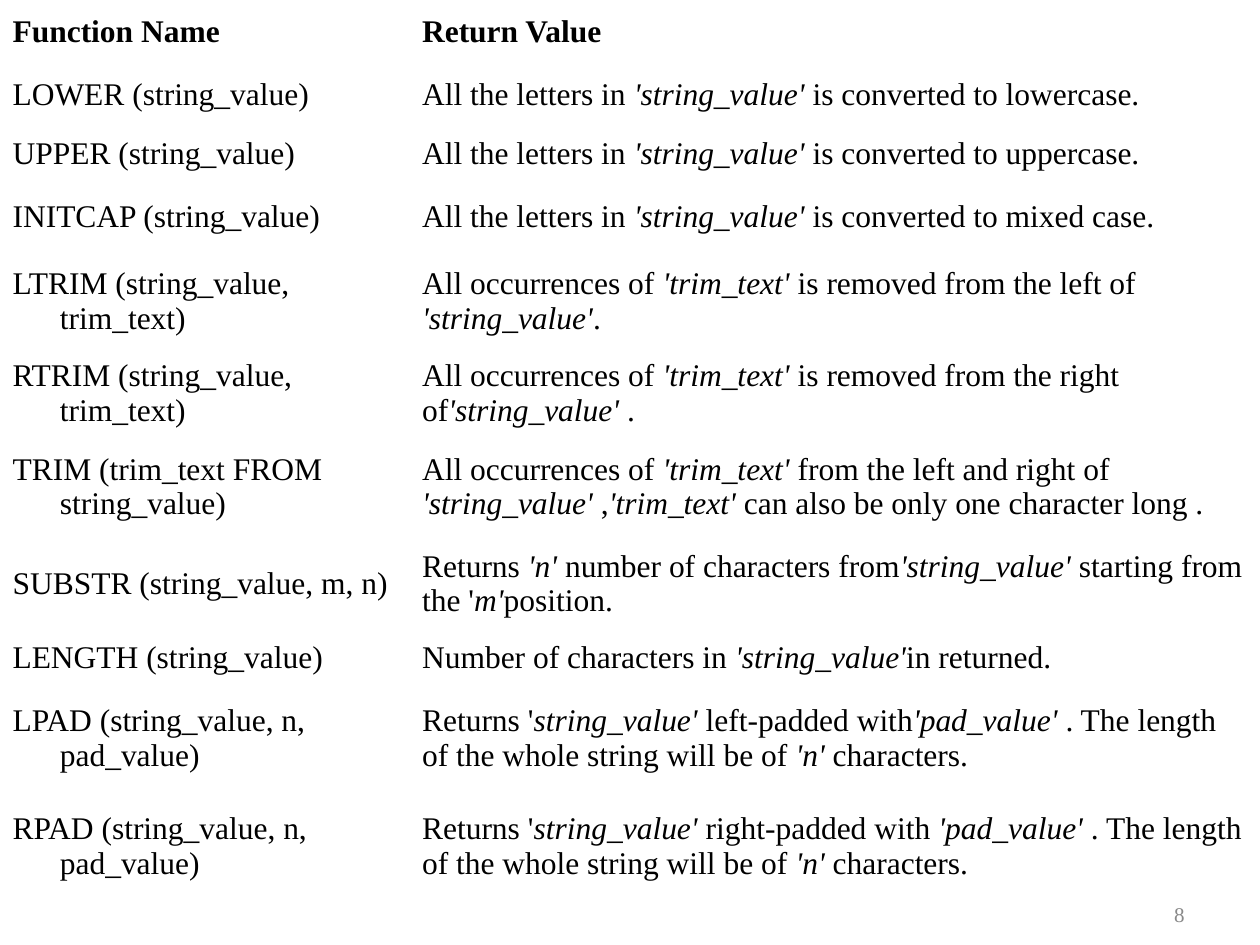
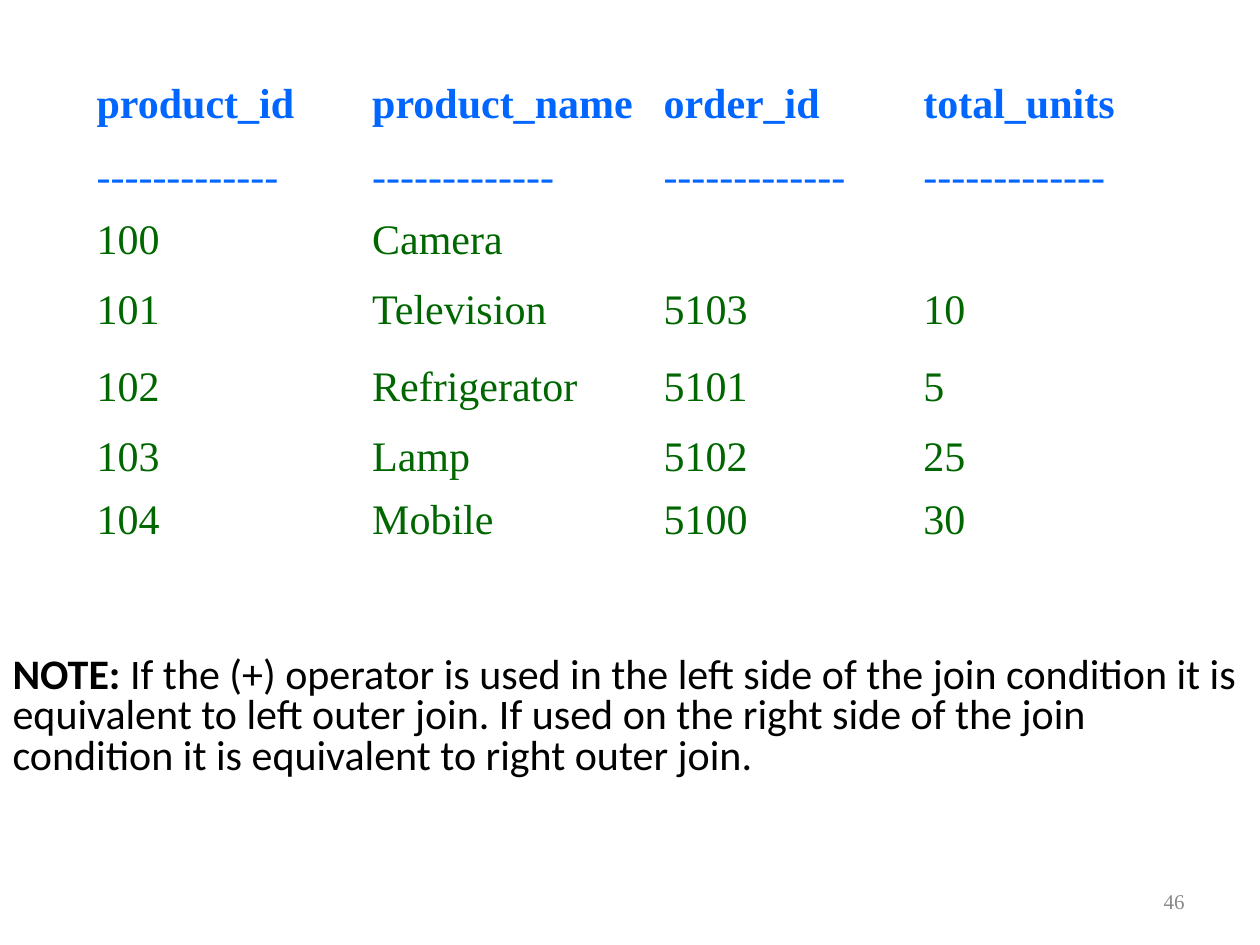
from pptx import Presentation
from pptx.dml.color import RGBColor
from pptx.enum.text import MSO_ANCHOR, MSO_AUTO_SIZE, PP_ALIGN
from pptx.util import Pt

MIDDLE = MSO_ANCHOR.MIDDLE
FIXED = MSO_AUTO_SIZE.NONE
RIGHT = PP_ALIGN.RIGHT
SERIF, SANS = "Times New Roman", "Calibri"
BLACK, BLUE, GREEN, GREY = "000000", "0066FF", "006600", "898989"
HANG = Pt(27)


def write(para, text, size, color, bold=False, face=SERIF):
    for n, part in enumerate(text.split("*")):
        if part:
            run = para.add_run()
            run.text = part
            font = run.font
            font.name, font.size = face, Pt(size)
            font.bold, font.italic = bold, n % 2 == 1
            font.color.rgb = RGBColor.from_string(color)


def grid(slide, left, top, widths, heights, rows, size, colors):
    frame = slide.shapes.add_table(
        len(rows), len(widths), Pt(left), Pt(top), Pt(sum(widths)), Pt(sum(heights)))
    table = frame.table
    table.first_row = table.horz_banding = False
    for col, width in zip(table.columns, widths):
        col.width = Pt(width)
    for r, (height, row) in enumerate(zip(heights, rows)):
        table.rows[r].height = Pt(height)
        for c, text in enumerate(row):
            cell = table.cell(r, c)
            cell.fill.background()
            cell.vertical_anchor = MIDDLE
            para = cell.text_frame.paragraphs[0]
            if c == 0:
                props = para._p.get_or_add_pPr()
                props.set("marL", str(HANG))
                props.set("indent", str(-HANG))
            write(para, text, size, colors[min(r, len(colors) - 1)], r == 0)


strings = [
    ("Function Name", "Return Value"),
    ("LOWER (string_value)", "All the letters in *'string_value'* is converted to lowercase."),
    ("UPPER (string_value)", "All the letters in *'string_value'* is converted to uppercase."),
    ("INITCAP (string_value)", "All the letters in *'string_value'* is converted to mixed case."),
    ("LTRIM (string_value, trim_text)",
     "All occurrences of *'trim_text'* is removed from the left of *'string_value'*."),
    ("RTRIM (string_value, trim_text)",
     "All occurrences of *'trim_text'* is removed from the right of*'string_value'* ."),
    ("TRIM (trim_text FROM string_value)",
     "All occurrences of *'trim_text'* from the left and right of *'string_value'* ,"
     "*'trim_text'* can also be only one character long ."),
    ("SUBSTR (string_value, m, n)",
     "Returns *'n'* number of characters from*'string_value'* starting from the '*m'*position."),
    ("LENGTH (string_value)", "Number of characters in *'string_value'*in returned."),
    ("LPAD (string_value, n, pad_value)",
     "Returns '*string_value'* left-padded with*'pad_value'* . "
     "The length of the whole string will be of *'n' *characters."),
    ("RPAD (string_value, n, pad_value)",
     "Returns '*string_value'* right-padded with *'pad_value'* . "
     "The length of the whole string will be of *'n' *characters."),
]
orders = [
    ("product_id", "product_name", "order_id", "total_units"),
    ("-" * 13,) * 4,
    ("100", "Camera", "", ""),
    ("101", "Television", "5103", "10"),
    ("102", "Refrigerator", "5101", "5"),
    ("103", "Lamp", "5102", "25"),
    ("104", "Mobile", "5100", "30"),
]

deck = Presentation()
deck.slide_width, deck.slide_height = Pt(720), Pt(540)

first = deck.slides.add_slide(deck.slide_layouts[6])
grid(first, 0, 0, [234, 486],
     [36, 36.7, 30.3, 41.7, 54.7, 50.4, 56.9, 54, 30.2, 62, 61.2],
     strings, 18, [BLACK])

second = deck.slides.add_slide(deck.slide_layouts[1])
title = second.shapes.title
title.element.getparent().remove(title.element)
note = second.placeholders[1]
note.left, note.top, note.width, note.height = Pt(0), Pt(372), Pt(720), Pt(108)
note.text_frame.auto_size = FIXED
para = note.text_frame.paragraphs[0]
para.line_spacing, para.space_before = 0.8, Pt(6)
props = para._p.get_or_add_pPr()
props.set("marL", "0")
props.set("indent", "0")
props.append(props.makeelement(
    "{http://schemas.openxmlformats.org/drawingml/2006/main}buNone", {}))
write(para, "NOTE: ", 24, BLACK, True, SANS)
write(para, "If the (+) operator is used in the left side of the join condition it is "
      "equivalent to left outer join. If used on the right side of the join condition "
      "it is equivalent to right outer join.", 24, BLACK, False, SANS)
grid(second, 48, 36, [157.5, 166.5, 148.5, 157.5],
     [47.5, 36, 36, 44, 44, 36, 36], orders, 24, [BLUE, BLUE, GREEN])

for slide, top, height, page in [(first, 516, 13, "8"), (second, 500.5, 29, "46")]:
    box = slide.shapes.add_textbox(Pt(516), Pt(top), Pt(168), Pt(height))
    box.text_frame.word_wrap = True
    box.text_frame.vertical_anchor = MIDDLE
    para = box.text_frame.paragraphs[0]
    para.alignment = RIGHT
    write(para, page, 12, GREY)

deck.save("out.pptx")
